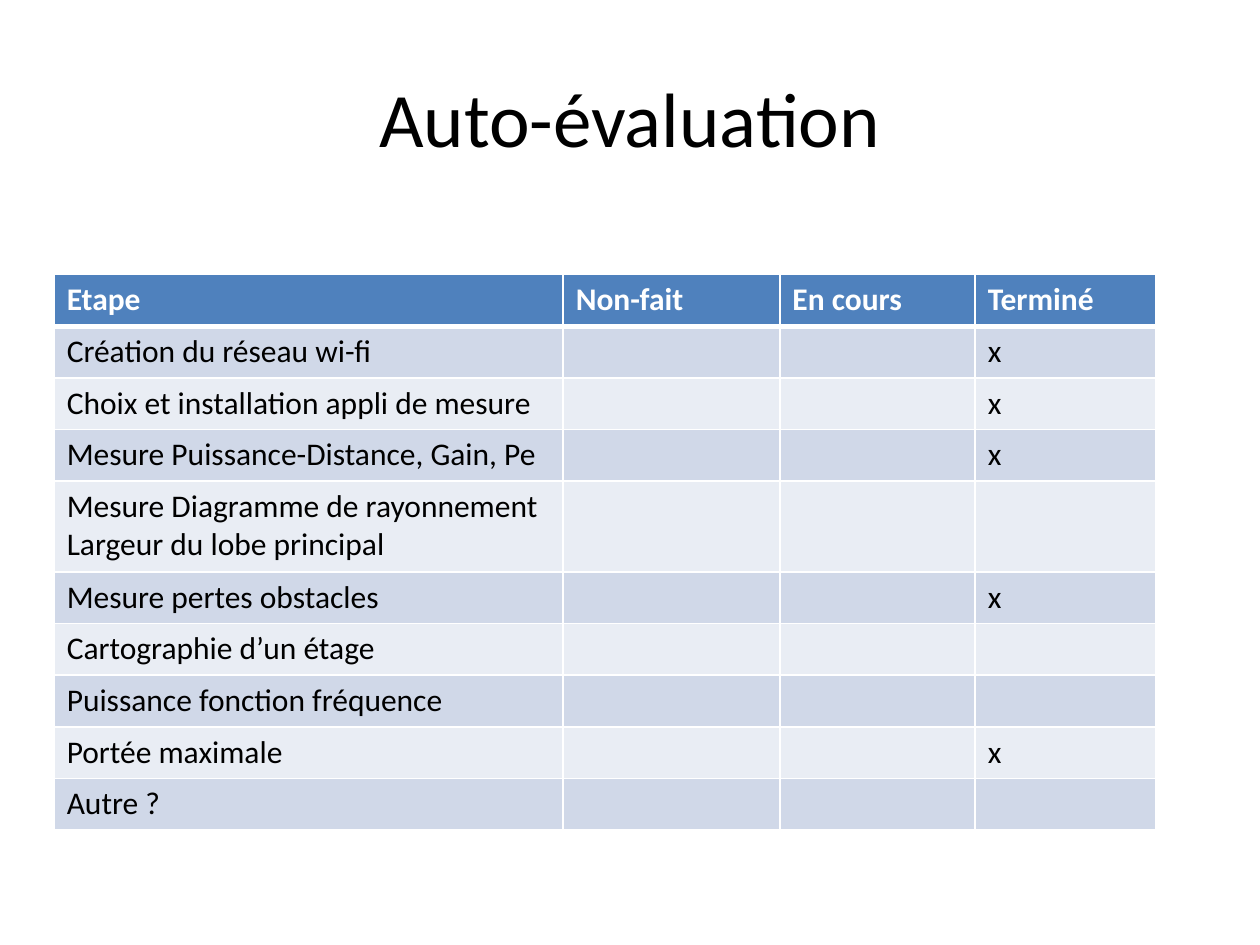
from lxml import etree
from pptx import Presentation
from pptx.dml.color import RGBColor
from pptx.enum import text
from pptx.oxml.ns import qn
from pptx.util import Inches, Pt

BLACK = RGBColor(0x00, 0x00, 0x00)
WHITE = RGBColor(0xFF, 0xFF, 0xFF)
HEADER_BLUE = RGBColor(0x4F, 0x81, 0xBD)
BANDS = (RGBColor(0xD0, 0xD8, 0xE8), RGBColor(0xE9, 0xED, 0xF4))

HEADERS = ("Etape", "Non-fait", "En cours", "Terminé")
STEPS = (
    ("Création du réseau wi-fi", "x"),
    ("Choix et installation appli de mesure", "x"),
    ("Mesure Puissance-Distance, Gain, Pe", "x"),
    ("Mesure Diagramme de rayonnement\nLargeur du lobe principal", ""),
    ("Mesure pertes obstacles", "x"),
    ("Cartographie d’un étage", ""),
    ("Puissance fonction fréquence", ""),
    ("Portée maximale", "x"),
    ("Autre ?", ""),
)
COLUMN_WIDTHS = (4.04, 1.72, 1.55, 1.43)
LINE_HEIGHT = 0.31
ROW_PADDING = 0.1


def format_text(frame, color, **font_values):
    for paragraph in frame.paragraphs:
        paragraph.font.color.rgb = color
        for name, value in {"name": "Calibri", **font_values}.items():
            setattr(paragraph.font, name, value)
        for run in paragraph.runs:
            run.font.color.rgb = color
            for name, value in {"name": "Calibri", **font_values}.items():
                setattr(run.font, name, value)


def add_title(slide, title_text):
    title = slide.shapes.title
    box = {"left": 0.5, "top": 0.3, "width": 9, "height": 1.25}
    for name, value in box.items():
        setattr(title, name, Inches(value))
    frame = title.text_frame
    frame.text = title_text
    frame.vertical_anchor = text.MSO_ANCHOR.MIDDLE
    frame.paragraphs[0].alignment = text.PP_ALIGN.CENTER
    format_text(frame, BLACK, size=Pt(44))


def set_borders(cell, widths):
    properties = cell._tc.get_or_add_tcPr()
    for side, width in widths.items():
        line = etree.SubElement(properties, qn(f"a:ln{side}"), w=str(Pt(width)))
        fill = etree.SubElement(line, qn("a:solidFill"))
        etree.SubElement(fill, qn("a:srgbClr"), val=str(WHITE))


def fill_cell(cell, content, row_index):
    is_header = row_index == 0
    cell.text = content
    format_text(cell.text_frame, WHITE if is_header else BLACK,
                size=Pt(18), bold=is_header)
    set_borders(cell, {"L": 1, "R": 1,
                       "T": 3 if row_index == 1 else 1,
                       "B": 3 if is_header else 1})
    cell.fill.solid()
    cell.fill.fore_color.rgb = HEADER_BLUE if is_header else BANDS[(row_index - 1) % 2]


def add_step_table(slide):
    rows = [HEADERS] + [(step, "", "", done) for step, done in STEPS]
    heights = [ROW_PADDING + LINE_HEIGHT * (row[0].count("\n") + 1) for row in rows]
    table = slide.shapes.add_table(
        len(rows), len(HEADERS), Inches(0.43), Inches(2.18),
        Inches(sum(COLUMN_WIDTHS)), Inches(sum(heights))).table
    for column, width in zip(table.columns, COLUMN_WIDTHS):
        column.width = Inches(width)
    for row_index, (contents, height) in enumerate(zip(rows, heights)):
        table.rows[row_index].height = Inches(height)
        for column_index, content in enumerate(contents):
            fill_cell(table.cell(row_index, column_index), content, row_index)


def main():
    presentation = Presentation()
    presentation.slide_width = Inches(10)
    presentation.slide_height = Inches(7.5)
    slide = presentation.slides.add_slide(presentation.slide_layouts[5])
    add_title(slide, "Auto-évaluation")
    add_step_table(slide)
    presentation.save("out.pptx")


if __name__ == "__main__":
    main()
